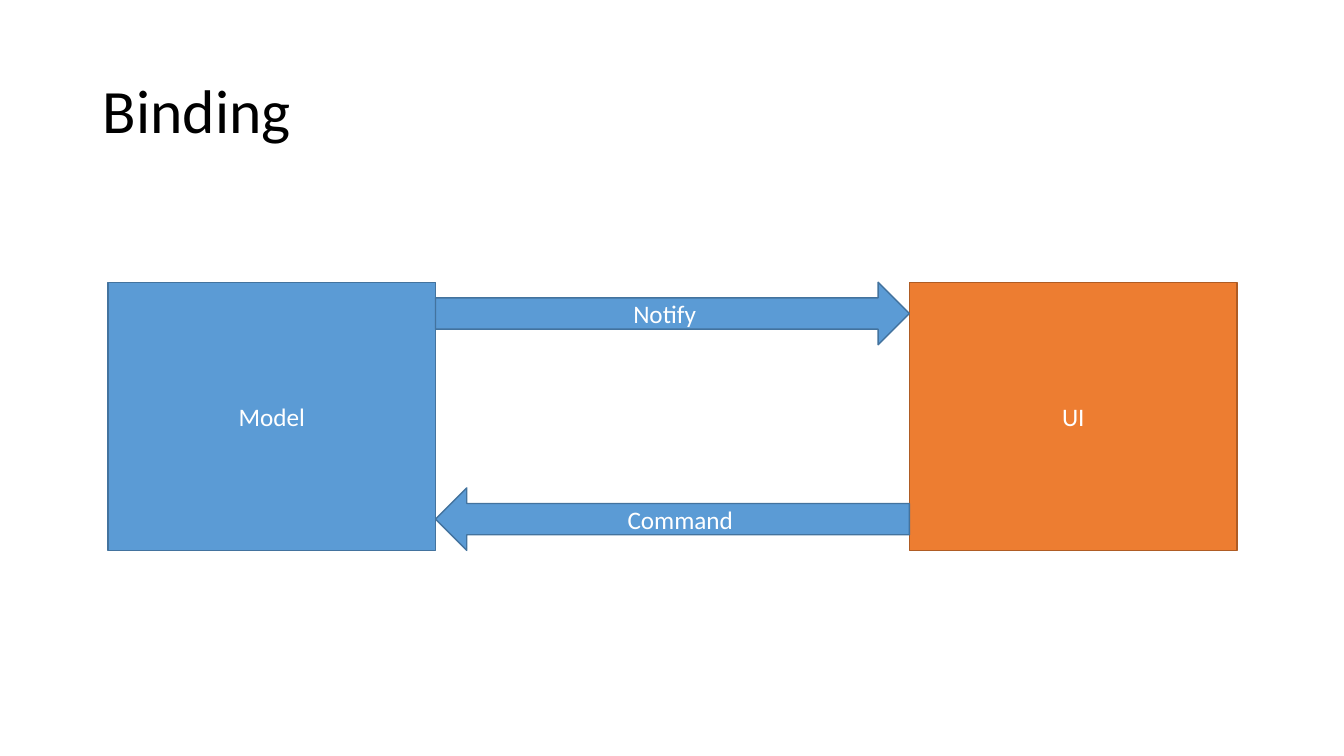
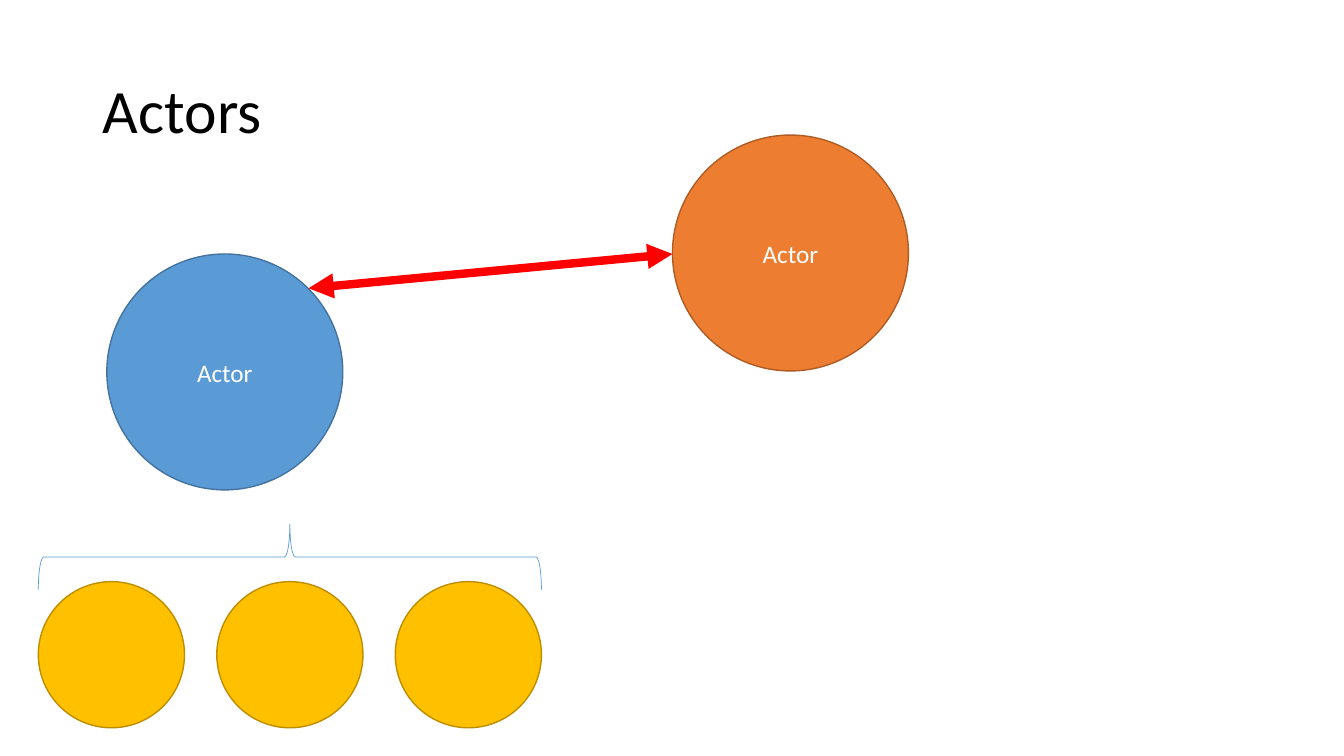
from lxml import etree
from pptx import Presentation
from pptx.dml.color import RGBColor
from pptx.enum.shapes import MSO_CONNECTOR as CONN, MSO_SHAPE as SHAPE
from pptx.enum.text import MSO_ANCHOR as ANCHOR, MSO_AUTO_SIZE as AUTO, PP_ALIGN as ALIGN
from pptx.oxml.ns import qn
from pptx.util import Emu, Pt

SCALE = 9144  # EMU per px, 100 px to the inch
FONT = "Calibri"
COLORS = {
    "black": "000000", "white": "FFFFFF", "red": "FF0000",
    "blue": "5B9BD5", "blue_edge": "43739E",
    "orange": "ED7D31", "orange_edge": "AF5C24",
    "gold": "FFC000", "gold_edge": "BD8E00",
}


def px(n):
    return Emu(round(n * SCALE))


def rgb(name):
    return RGBColor.from_string(COLORS[name])


class Deck:
    """Shared style and the current slide."""

    def __init__(self):
        self.prs = Presentation()
        self.prs.slide_width, self.prs.slide_height = px(1333), px(750)
        self.s = None

    def slide(self, title):
        self.s = self.prs.slides.add_slide(self.prs.slide_layouts[5])
        sp = self.s.shapes.title
        sp.left, sp.top, sp.width, sp.height = map(px, (92, 40, 1150, 145))
        self.text(sp, title, 44, "black", ALIGN.LEFT, 0.9)

    def text(self, sp, words, size, color, align, spacing=None):
        tf = sp.text_frame
        tf.word_wrap, tf.auto_size = True, AUTO.NONE
        tf.vertical_anchor = ANCHOR.MIDDLE
        p = tf.paragraphs[0]
        p.alignment, p.line_spacing = align, spacing
        r = p.add_run()
        r.text = words
        r.font.name, r.font.size = FONT, Pt(size)
        r.font.color.rgb = rgb(color)

    def shape(self, kind, x, y, w, h, color, label=None):
        sp = self.s.shapes.add_shape(kind, px(x), px(y), px(w), px(h))
        sp.shadow.inherit = False
        sp.fill.solid()
        sp.fill.fore_color.rgb = rgb(color)
        sp.line.color.rgb = rgb(color + "_edge")
        sp.line.width = Pt(1)
        if label:
            self.text(sp, label, 18, "white", ALIGN.CENTER)

    def circle(self, x, y, d, color, label=None):
        self.shape(SHAPE.OVAL, x, y, d, d, color, label)

    def brace(self, x, y, w, h, color):
        """Brace opening downwards over the box x, y, w, h."""
        # The unturned box has the same centre with its sides swapped
        left, top = x + (w - h) / 2, y + (h - w) / 2
        sp = self.s.shapes.add_shape(SHAPE.RIGHT_BRACE, px(left), px(top), px(h), px(w))
        sp.rotation = 270
        sp.shadow.inherit = False
        sp.fill.background()
        sp.line.color.rgb = rgb(color)
        sp.line.width = Pt(0.5)

    def double_arrow(self, x1, y1, x2, y2, color, width):
        cx = self.s.shapes.add_connector(CONN.STRAIGHT, px(x1), px(y1), px(x2), px(y2))
        cx.line.color.rgb = rgb(color)
        cx.line.width = Pt(width)
        ln = cx.line._get_or_add_ln()
        for end in ("a:headEnd", "a:tailEnd"):
            etree.SubElement(ln, qn(end), type="triangle")
        etree.SubElement(cx._element.spPr, qn("a:effectLst"))


def binding(deck):
    deck.slide("Binding")
    left, top, box_w, box_h, gap, arrow_h = 107, 280, 325, 266, 470, 62
    inner = left + box_w
    # Two sides
    deck.shape(SHAPE.RECTANGLE, left, top, box_w, box_h, "blue", "Model")
    deck.shape(SHAPE.RECTANGLE, inner + gap, top, box_w, box_h, "orange", "UI")
    # Arrows between them, flush with their top and bottom
    deck.shape(SHAPE.RIGHT_ARROW, inner, top, gap, arrow_h, "blue", "Notify")
    deck.shape(SHAPE.LEFT_ARROW, inner, top + box_h - arrow_h, gap, arrow_h, "blue", "Command")


def actors(deck):
    deck.slide("Actors")
    # Actors and their link
    deck.circle(106, 252, 234, "blue", "Actor")
    deck.circle(667, 134, 234, "orange", "Actor")
    deck.double_arrow(306, 286, 667, 252, "red", 6)
    # Row of children under a brace
    left, d, pitch, count = 38, 145, 177, 3
    for i in range(count):
        deck.circle(left + i * pitch, 577, d, "gold")
    deck.brace(left, 520, (count - 1) * pitch + d, 65, "blue")


def main():
    deck = Deck()
    binding(deck)
    actors(deck)
    deck.prs.save("out.pptx")


if __name__ == "__main__":
    main()
